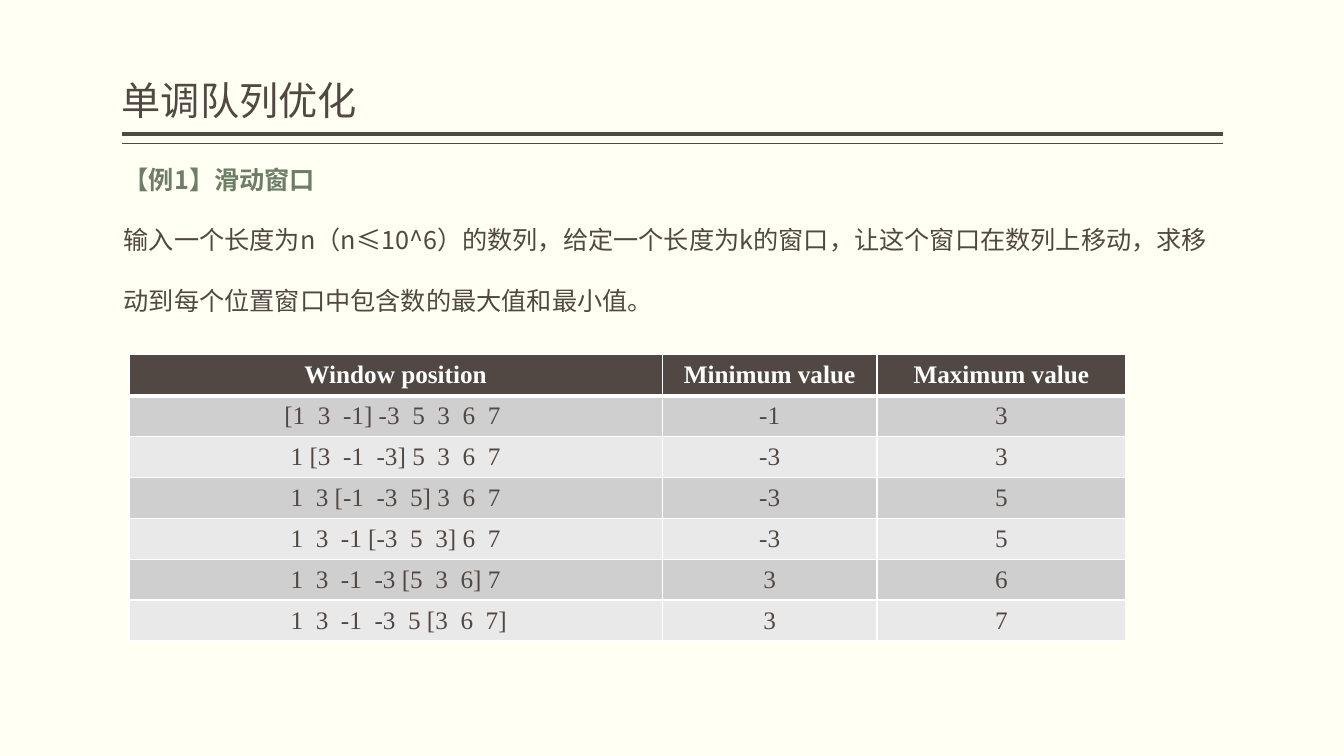
from lxml import etree
from pptx import Presentation
from pptx import util as u
from pptx.dml.color import RGBColor
from pptx.enum import shapes, text
from pptx.oxml import ns

COLORS = {
    "paper": "FFFFF3",
    "ink": "514843",
    "green": "6D7D66",
    "white": "FFFFFF",
    "dark_band": "D0CFCF",
    "light_band": "E9E9E9",
}
HAN = "Noto Sans CJK SC"
ROMAN = "Times New Roman"
NBSP = chr(160)


def rgb(name):
    return RGBColor.from_string(COLORS[name])


def write(paragraph, words, size=18, font=HAN, color="ink", bold=False, align=None, spacing=None):
    run = paragraph.add_run()
    run.text = words
    run.font.size = u.Pt(size)
    run.font.bold = bold
    run.font.color.rgb = rgb(color)
    run.font.name = font
    etree.SubElement(run.font._element, ns.qn("a:ea"), typeface=font)
    paragraph.alignment = align
    paragraph.line_spacing = spacing


deck = Presentation()
deck.slide_width = u.Cm(33.87)
deck.slide_height = u.Cm(19.05)
slide = deck.slides.add_slide(deck.slide_layouts[6])
slide.background.fill.solid()
slide.background.fill.fore_color.rgb = rgb("paper")

for height, weight in [(3.38, 3), (3.62, 1)]:
    rule = slide.shapes.add_connector(
        shapes.MSO_CONNECTOR.STRAIGHT, u.Cm(30.81), u.Cm(height), u.Cm(3.07), u.Cm(height))
    rule.line.color.rgb = rgb("ink")
    rule.line.width = u.Pt(weight)
    etree.SubElement(rule._element.spPr, ns.qn("a:effectLst"))

heading = slide.shapes.add_textbox(u.Cm(3.07), u.Cm(0.2), u.Cm(27.74), u.Cm(3.05)).text_frame
heading.word_wrap = True
heading.vertical_anchor = text.MSO_ANCHOR.BOTTOM
heading.margin_left = heading.margin_right = 0
write(heading.paragraphs[0], "单调队列优化", size=28, spacing=0.9)

problem = slide.shapes.add_textbox(u.Cm(2.87), u.Cm(3.25), u.Cm(27.91), u.Cm(5.89)).text_frame
problem.word_wrap = True
problem.auto_size = text.MSO_AUTO_SIZE.SHAPE_TO_FIT_TEXT
write(problem.paragraphs[0], "【例1】滑动窗口", color="green", bold=True, spacing=2.0)
write(
    problem.add_paragraph(),
    "输入一个长度为n（n≤10^6）的数列，给定一个长度为k的窗口，"
    "让这个窗口在数列上移动，求移动到每个位置窗口中包含数的最大值和最小值。",
    spacing=2.0,
)

sequence = [1, 3, -1, -3, 5, 3, 6, 7]
window_size = 3
rows = [("Window position", "Minimum value", "Maximum value")]
for start in range(len(sequence) - window_size + 1):
    end = start + window_size - 1
    position = "".join(
        ("[" if i == start else NBSP) + str(number) + ("]" if i == end else NBSP)
        for i, number in enumerate(sequence))
    window = sequence[start:end + 1]
    rows.append((position, str(min(window)), str(max(window))))

widths = [13.44, 5.41, 6.27]
row_height = 1.03
results = slide.shapes.add_table(
    len(rows), len(widths), u.Cm(3.25), u.Cm(8.94),
    u.Cm(sum(widths)), u.Cm(row_height * len(rows))).table
for column, width in zip(results.columns, widths):
    column.width = u.Cm(width)

for r, values in enumerate(rows):
    results.rows[r].height = u.Cm(row_height)
    header = r == 0
    band = "ink" if header else "dark_band" if r % 2 else "light_band"
    edges = {"lnL": 1, "lnR": 1, "lnT": 3 if r == 1 else 1, "lnB": 3 if header else 1}
    for c, value in enumerate(values):
        cell = results.cell(r, c)
        cell.vertical_anchor = text.MSO_ANCHOR.MIDDLE
        cell.margin_left = cell.margin_right = u.Cm(0.08)
        cell.margin_top = cell.margin_bottom = u.Cm(0.08)
        for edge, weight in edges.items():
            border = etree.SubElement(
                cell._tc.get_or_add_tcPr(), ns.qn("a:" + edge), w=str(u.Pt(weight)))
            paint = etree.SubElement(border, ns.qn("a:solidFill"))
            etree.SubElement(paint, ns.qn("a:srgbClr"), val=COLORS["white"])
        cell.fill.solid()
        cell.fill.fore_color.rgb = rgb(band)
        write(cell.text_frame.paragraphs[0], value, font=ROMAN, bold=header,
              color="white" if header else "ink", align=text.PP_ALIGN.CENTER)

deck.save("out.pptx")
